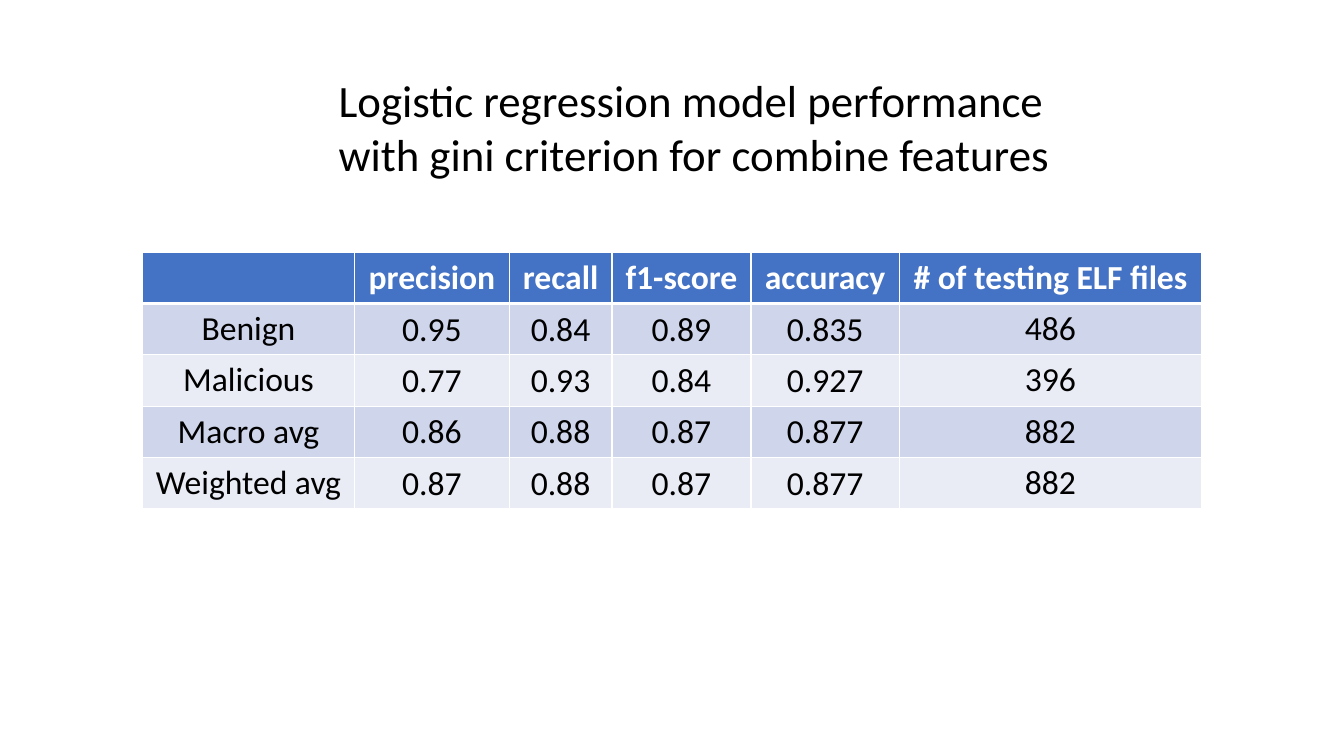
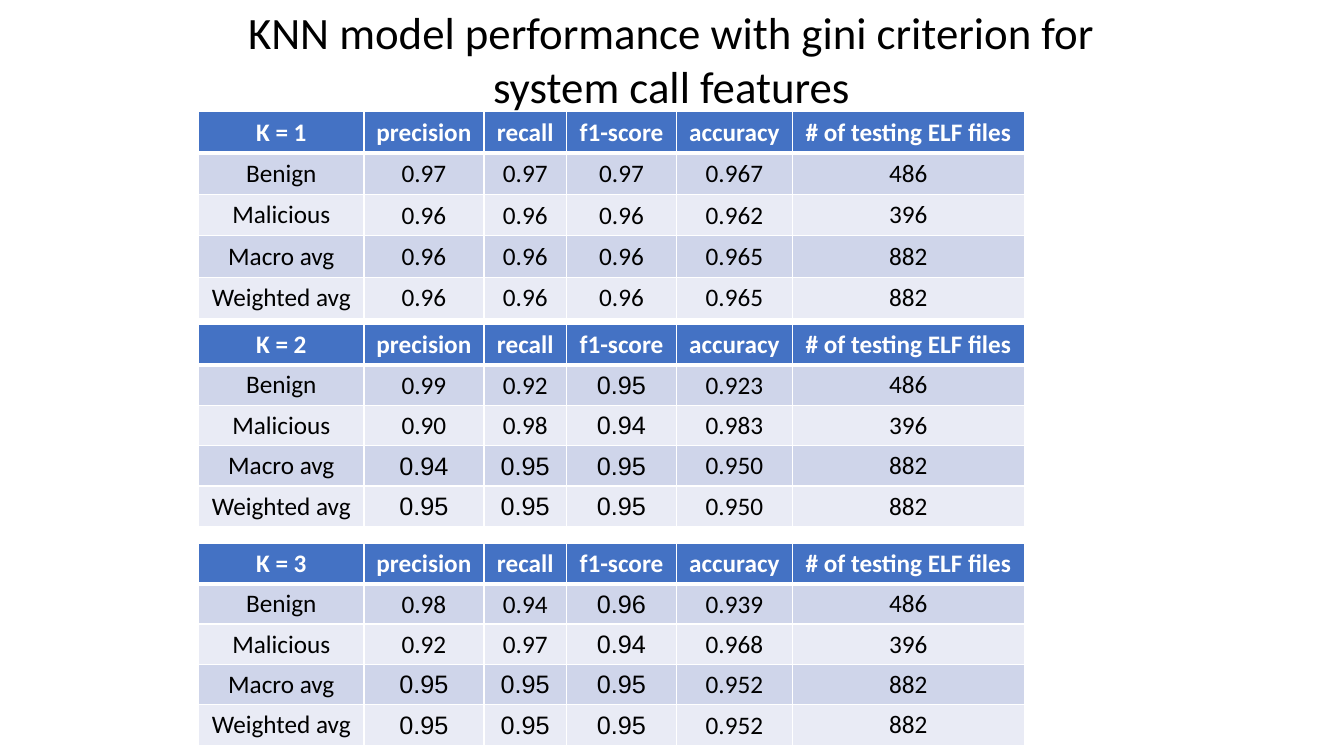
from lxml import etree
from pptx import Presentation
from pptx import util as u
from pptx.dml.color import RGBColor
from pptx.enum import text as t
from pptx.oxml import ns

Inches, Pt = u.Inches, u.Pt

# Shared look
BLUE = RGBColor(0x44, 0x72, 0xC4)
DARK = RGBColor(0xCF, 0xD5, 0xEA)
PALE = RGBColor(0xE9, 0xEB, 0xF5)
WHITE = RGBColor(0xFF, 0xFF, 0xFF)
BLACK = RGBColor(0x00, 0x00, 0x00)
FONT = "Calibri"
HEADS = ["precision", "recall", "f1-score", "accuracy", "# of testing ELF files"]
NAMES = ["Benign", "Malicious", "Macro avg", "Weighted avg"]
FILES = ["486", "396", "882", "882"]

deck = Presentation()
deck.slide_width, deck.slide_height = Inches(13.33), Inches(7.5)


def add_title(slide, left, top, width, lines, align, wrap):
    box = slide.shapes.add_textbox(Inches(left), Inches(top), Inches(width), Inches(1.18))
    frame = box.text_frame
    frame.word_wrap = wrap
    frame.auto_size = t.MSO_AUTO_SIZE.SHAPE_TO_FIT_TEXT
    for i, line in enumerate(lines):
        para = frame.add_paragraph() if i else frame.paragraphs[0]
        para.alignment = align
        run = para.add_run()
        run.text = line
        run.font.name, run.font.size = FONT, Pt(32)
        run.font.color.rgb = BLACK


def add_scores(slide, left, top, widths, height, size, label, scores, arial=()):
    """Draw a score table; arial lists the (row, column) cells set in Arial."""
    rows = [[label] + HEADS]
    rows += [[n] + s.split() + [f] for n, s, f in zip(NAMES, scores, FILES)]
    frame = slide.shapes.add_table(
        len(rows), len(widths), Inches(left), Inches(top),
        Inches(sum(widths)), Inches(height * len(rows)))
    table = frame.table
    for col, width in zip(table.columns, widths):
        col.width = Inches(width)
    for r, row in enumerate(rows):
        table.rows[r].height = Inches(height)
        for c, word in enumerate(row):
            cell = table.cell(r, c)
            cell.vertical_anchor = t.MSO_ANCHOR.MIDDLE
            if r and 0 < c < len(row) - 1:
                cell.margin_left = cell.margin_right = cell.margin_top = Inches(0.01)
                cell.margin_bottom = 0
            # White borders, thicker around the header's lower edge
            props = cell._tc.get_or_add_tcPr()
            for side in "LRTB":
                thick = (r == 0 and side == "B") or (r == 1 and side == "T")
                line = etree.SubElement(props, ns.qn("a:ln" + side), w=str(Pt(3 if thick else 1)))
                fill = etree.SubElement(line, ns.qn("a:solidFill"))
                etree.SubElement(fill, ns.qn("a:srgbClr"), val=str(WHITE))
            cell.fill.solid()
            cell.fill.fore_color.rgb = (DARK if r % 2 else PALE) if r else BLUE
            para = cell.text_frame.paragraphs[0]
            para.alignment = t.PP_ALIGN.CENTER
            if word:
                run = para.add_run()
                run.text = word
                run.font.name = "Arial" if (r, c) in arial else FONT
                run.font.size, run.font.bold = Pt(size), r == 0
                run.font.color.rgb = BLACK if r else WHITE


# Slide 1: logistic regression
slide = deck.slides.add_slide(deck.slide_layouts[6])
add_scores(slide, 1.41, 2.5, [2.11, 1.53, 1.02, 1.38, 1.47, 3], 0.51, 24, "",
           ["0.95 0.84 0.89 0.835", "0.77 0.93 0.84 0.927",
            "0.86 0.88 0.87 0.877", "0.87 0.88 0.87 0.877"])
add_title(slide, 3.26, 0.67, 7.43,
          ["Logistic regression model performance",
           "with gini criterion for combine features"], t.PP_ALIGN.LEFT, False)

# Slide 2: KNN, one table for each K
slide = deck.slides.add_slide(deck.slide_layouts[6])
mixed = [(1, 3), (2, 3)] + [(r, c) for r in (3, 4) for c in (1, 2, 3)]
tests = [
    (1.11, 0.41, (), ["0.97 0.97 0.97 0.967", "0.96 0.96 0.96 0.962",
                      "0.96 0.96 0.96 0.965", "0.96 0.96 0.96 0.965"]),
    (3.22, 0.4, mixed, ["0.99 0.92 0.95 0.923", "0.90 0.98 0.94 0.983",
                        "0.94 0.95 0.95 0.950", "0.95 0.95 0.95 0.950"]),
    (5.39, 0.4, mixed, ["0.98 0.94 0.96 0.939", "0.92 0.97 0.94 0.968",
                        "0.95 0.95 0.95 0.952", "0.95 0.95 0.95 0.952"]),
]
for k, (top, height, arial, scores) in enumerate(tests, 1):
    add_scores(slide, 1.97, top, [1.64, 1.19, 0.82, 1.09, 1.15, 2.3], height, 18,
               f"K = {k}", scores, arial)
add_title(slide, 2.33, 0, 8.66,
          ["KNN model performance with gini criterion for system call features"],
          t.PP_ALIGN.CENTER, True)

deck.save("out.pptx")
